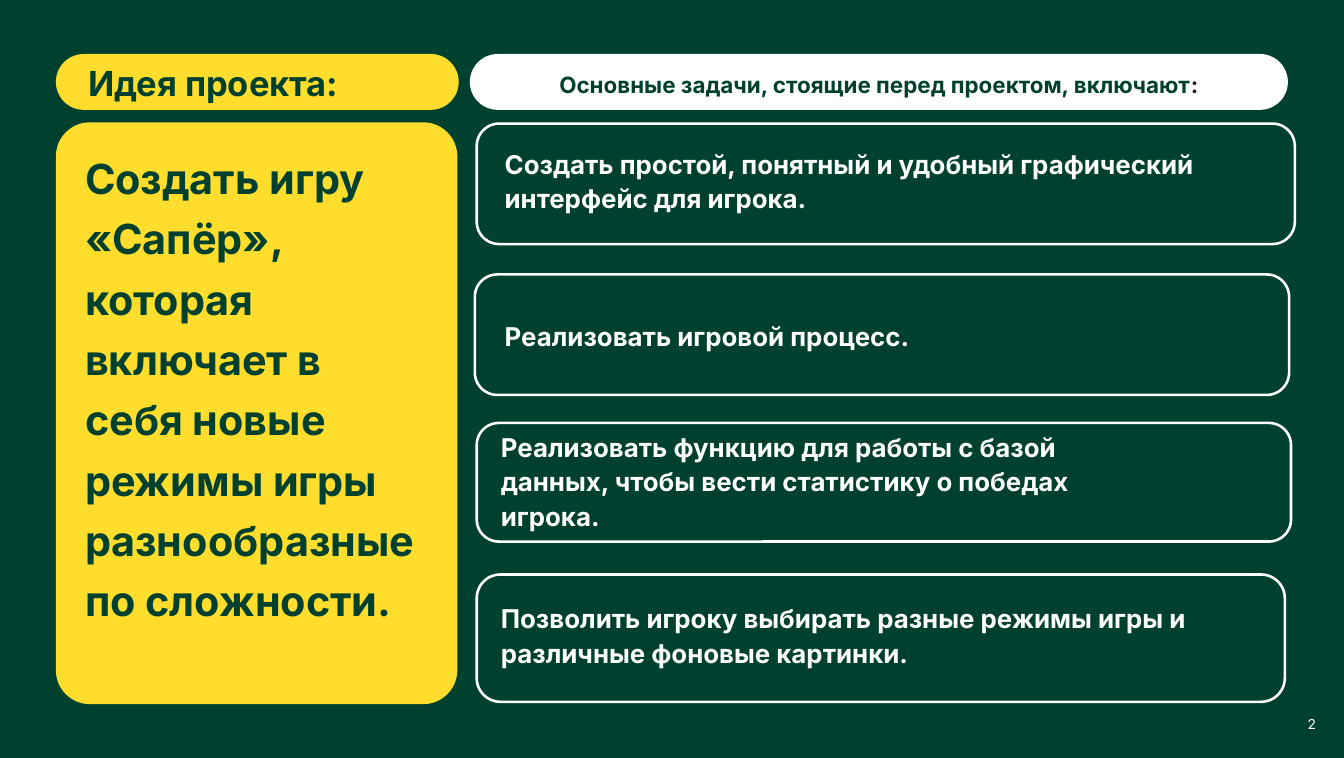
from pptx import Presentation
from pptx.dml.color import RGBColor
from pptx.enum.shapes import MSO_SHAPE
from pptx.enum.text import MSO_ANCHOR, PP_ALIGN
from pptx.util import Pt

GREEN = RGBColor(0x00, 0x40, 0x2E)
YELLOW = RGBColor(0xFF, 0xDD, 0x2D)
WHITE = RGBColor(0xFF, 0xFF, 0xFF)
BLACK = RGBColor(0x1A, 0x19, 0x19)

ROUNDED = MSO_SHAPE.ROUNDED_RECTANGLE
TOP, MIDDLE = MSO_ANCHOR.TOP, MSO_ANCHOR.MIDDLE
LEFT, CENTER, RIGHT = PP_ALIGN.LEFT, PP_ALIGN.CENTER, PP_ALIGN.RIGHT

# Task text, frame box, text left, top and width
TASKS = [
    ("Создать простой, понятный и удобный графический интерфейс для игрока.",
     (553, 143.3, 949, 139.7), (585.4, 167.8, 833.8)),
    ("Реализовать игровой процесс.",
     (550.8, 318.2, 944.6, 139.7), (585.4, 367.9, 749.5)),
    ("Реализовать функцию для работы с базой данных, чтобы вести "
     "статистику о победах игрока.",
     (553, 490.3, 944.6, 137.5), (581, 496.1, 749.5)),
    ("Позволить игроку выбирать разные режимы игры и различные "
     "фоновые картинки.",
     (553, 666, 937.4, 147.6), (581, 694.8, 915.1)),
]


def add_rounded(s, box, radius, fill=None):
    """Rounded panel: filled without a line, or a white outline."""
    sp = s.shapes.add_shape(ROUNDED, *map(Pt, box))
    sp.adjustments[0] = radius
    sp.shadow.inherit = False
    if fill is None:
        sp.fill.background()
        sp.line.color.rgb = WHITE
        sp.line.width = Pt(3)
    else:
        sp.fill.solid()
        sp.fill.fore_color.rgb = fill
        sp.line.fill.background()
    return sp


def write(sp, runs, size, bold=True, align=LEFT, anchor=TOP,
          spacing=None, insets=(0, 0, 0, 0)):
    """Fill a shape with one paragraph of (text, colour) runs."""
    tf = sp.text_frame
    left, top, right, bottom = map(Pt, insets)
    frame_format = {"word_wrap": True, "vertical_anchor": anchor,
                    "margin_left": left, "margin_top": top,
                    "margin_right": right, "margin_bottom": bottom}
    for name, value in frame_format.items():
        setattr(tf, name, value)
    p = tf.paragraphs[0]
    p.alignment = align
    if spacing:
        p.line_spacing = Pt(spacing)
    for text, color in runs:
        r = p.add_run()
        r.text = text
        for name, value in {"name": "Inter", "size": Pt(size), "bold": bold}.items():
            setattr(r.font, name, value)
        r.font.color.rgb = color


def add_text(s, box, text, size, **text_format):
    sp = s.shapes.add_textbox(*map(Pt, box))
    write(sp, [(text, WHITE)], size, **text_format)


def add_task(s, text, frame, text_place):
    add_rounded(s, frame, 0.186)
    add_text(s, (*text_place, 45), text, 30, spacing=40)


def main():
    prs = Presentation()
    prs.slide_width, prs.slide_height = Pt(1559.06), Pt(878.74)
    s = prs.slides.add_slide(prs.slide_layouts[6])
    s.background.fill.solid()
    s.background.fill.fore_color.rgb = GREEN

    # Project idea: heading and panel
    sp = add_rounded(s, (64.8, 62.6, 467.3, 64.8), 0.5, YELLOW)
    write(sp, [("Идея проекта:", GREEN)], 40, anchor=MIDDLE, insets=(28.1, 2, 0, 0))
    sp = add_rounded(s, (64.8, 141.8, 465.8, 674.6), 0.085, YELLOW)
    write(sp, [("Создать игру «Сапёр», которая включает в себя новые режимы игры "
                "разнообразные по сложности.", GREEN)],
          48, spacing=70, insets=(22.3, 11.5, 22.3, 11.5))

    # Project tasks: heading and frames
    sp = add_rounded(s, (545, 62.6, 949, 64.8), 0.5, WHITE)
    write(sp, [("Основные задачи, стоящие перед проектом, включают", GREEN), (":", BLACK)],
          26, align=CENTER, spacing=42, insets=(33.8, 0, 33.8, 0))
    for text, frame, text_place in TASKS:
        add_task(s, text, frame, text_place)

    # Page number
    add_text(s, (1449.4, 825.8, 84.2, 33.1), "2", 16, bold=False,
             align=RIGHT, insets=(7.2, 3.6, 7.2, 3.6))

    prs.save("out.pptx")


if __name__ == "__main__":
    main()
